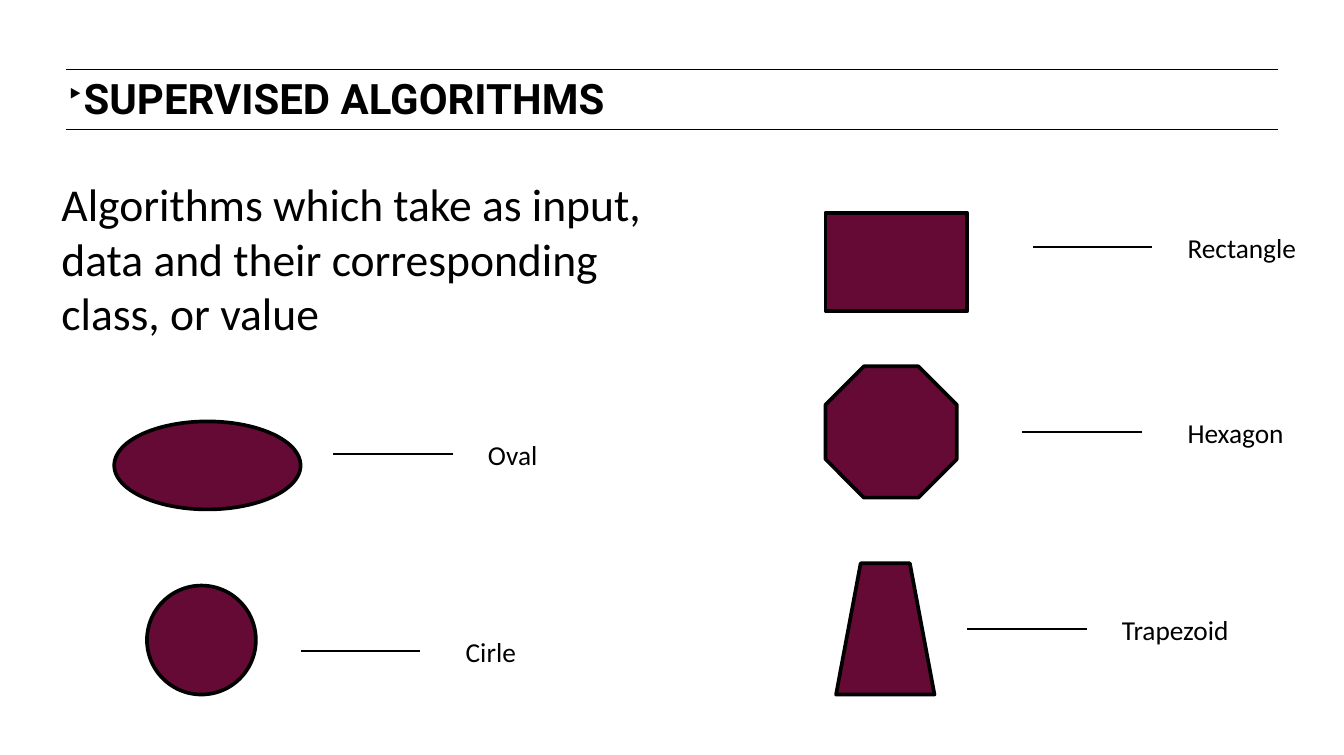
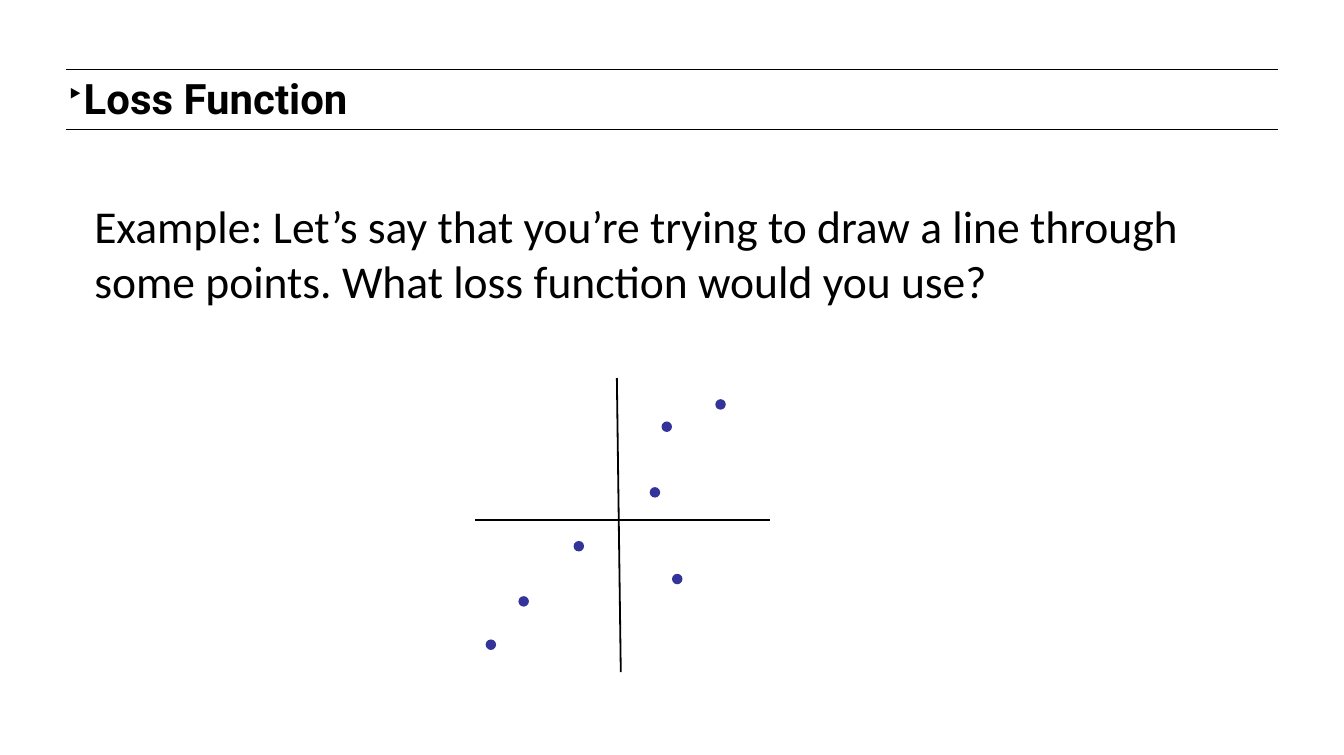
from lxml.etree import SubElement
from pptx import Presentation
from pptx.dml.color import RGBColor
from pptx.enum.shapes import MSO_CONNECTOR, MSO_SHAPE
from pptx.oxml.ns import qn
from pptx.util import Pt

PX = 9144
BLACK, WINE, BLUE = "000000", "650A34", "333399"
TITLE = {"name": "Roboto", "size": Pt(23), "bold": True}
BODY = {"name": "Calibri", "size": Pt(25)}
LABEL = {"name": "Calibri", "size": Pt(15)}
DOT = 8
LEADER = 91

FIGURES = [
    (MSO_SHAPE.RECTANGLE, (629, 162, 108, 75), (787, 188), "Rectangle", (895, 171)),
    (MSO_SHAPE.OVAL, (112, 446, 83, 83), (229, 496), "Cirle", (345, 479)),
    (MSO_SHAPE.OVAL, (87, 321, 142, 67), (254, 346), "Oval", (362, 329)),
    (MSO_SHAPE.OCTAGON, (629, 279, 100, 100), (779, 329), "Hexagon", (895, 312)),
    (MSO_SHAPE.TRAPEZOID, (637, 429, 75, 100), (737, 479), "Trapezoid", (845, 462)),
]
POINTS = [(370, 487), (395, 454), (437, 412), (495, 371), (504, 321), (512, 437), (545, 304)]


def emu(lengths):
    return [n * PX for n in lengths]


def rgb(color):
    return RGBColor.from_string(color)


def add_line(s, start, end, width=1):
    line = s.shapes.add_connector(MSO_CONNECTOR.STRAIGHT, *emu(start + end))
    line.line.color.rgb = rgb(BLACK)
    line.line.width = Pt(width)
    SubElement(line._element.spPr, qn("a:effectLst"))


def add_figure(s, kind, box, fill, outline=0):
    sp = s.shapes.add_shape(kind, *emu(box))
    sp.shadow.inherit = False
    sp.fill.solid()
    sp.fill.fore_color.rgb = rgb(fill)
    if outline:
        sp.line.color.rgb = rgb(BLACK)
        sp.line.width = Pt(outline)
    else:
        sp.line.fill.background()


def add_text(s, box, text, style):
    tf = s.shapes.add_textbox(*emu(box)).text_frame
    tf.word_wrap = True
    p = tf.paragraphs[0]
    r = p.add_run()
    r.text = text
    for key, value in style.items():
        setattr(r.font, key, value)
    r.font.color.rgb = rgb(BLACK)
    return p


def add_bullet(p, char, percent, indent):
    pPr = p._p.get_or_add_pPr()
    pPr.set("marL", str(indent * PX))
    pPr.set("indent", str(-indent * PX))
    SubElement(pPr, qn("a:buSzPct"), val=str(percent * 1000))
    SubElement(pPr, qn("a:buChar"), char=char)


def add_slide(prs, title):
    s = prs.slides.add_slide(prs.slide_layouts[6])
    for y in (53, 99):
        add_line(s, (50, y), (974, y), 0.5)
    p = add_text(s, (41, 55, 700, 33), title, TITLE)
    p.line_spacing = Pt(24.5)
    add_bullet(p, "‣", 69, 8)
    return s


def add_algorithms(prs):
    s = add_slide(prs, "SUPERVISED ALGORITHMS")
    add_text(s, (37, 129, 492, 136),
             "Algorithms which take as input, data and their corresponding class, or value", BODY)
    for kind, box, (x, y), name, corner in FIGURES:
        add_figure(s, kind, box, WINE, 2)
        add_line(s, (x, y), (x + LEADER, y))
        add_text(s, corner + (120, 35), name, LABEL)


def add_loss(prs):
    s = add_slide(prs, "Loss Function")
    add_text(s, (62, 146, 892, 136),
             "Example: Let’s say that you’re trying to draw a line through some points. "
             "What loss function would you use?", BODY)
    add_line(s, (362, 396), (587, 396))
    add_line(s, (473, 512), (470, 288))
    for point in POINTS:
        add_figure(s, MSO_SHAPE.OVAL, point + (DOT, DOT), BLUE)


def main():
    prs = Presentation()
    prs.slide_width, prs.slide_height = emu((1024, 575))
    add_algorithms(prs)
    add_loss(prs)
    prs.save("out.pptx")


if __name__ == "__main__":
    main()
